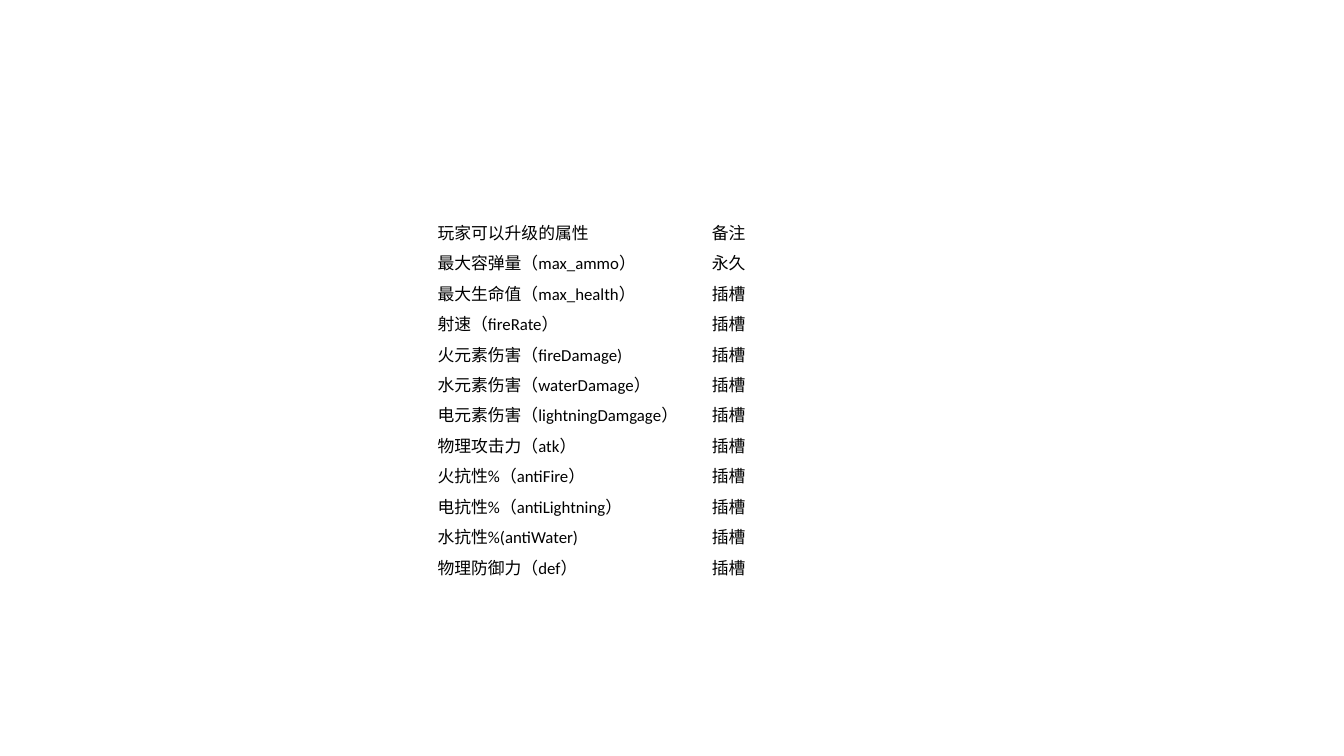
from pptx import Presentation
from pptx.dml.color import RGBColor
from pptx.enum import text
from pptx.util import Inches, Pt

COLORS = {"text": "000000"}
HEADER = ("玩家可以升级的属性", "备注")
PERMANENT, SLOT = "永久", "插槽"
ATTRIBUTES = [
    "最大容弹量（max_ammo）",
    "最大生命值（max_health）",
    "射速（fireRate）",
    "火元素伤害（fireDamage)",
    "水元素伤害（waterDamage）",
    "电元素伤害（lightningDamgage）",
    "物理攻击力（atk）",
    "火抗性%（antiFire）",
    "电抗性%（antiLightning）",
    "水抗性%(antiWater)",
    "物理防御力（def）",
]
# Only the first attribute is permanent; the others use a slot
rows = [HEADER] + [(name, SLOT if i else PERMANENT)
                   for i, name in enumerate(ATTRIBUTES)]

COL_WIDTHS = (2.72, 1.96)
ROW_HEIGHT, TALL_HEIGHT = 0.19, 0.26
TALL_ROWS = (2, 10)
heights = [TALL_HEIGHT if i in TALL_ROWS else ROW_HEIGHT
           for i in range(len(rows))]

# Slide
prs = Presentation()
prs.slide_width, prs.slide_height = Inches(13.33), Inches(7.5)
s = prs.slides.add_slide(prs.slide_layouts[6])

# Plain table without header or banding
table = s.shapes.add_table(
    len(rows), len(COL_WIDTHS), Inches(4.33), Inches(2.17),
    Inches(sum(COL_WIDTHS)), Inches(sum(heights))).table
table.first_row = table.horz_banding = False
for col, width in zip(table.columns, COL_WIDTHS):
    col.width = Inches(width)

# Cells
for row, height, values in zip(table.rows, heights, rows):
    row.height = Inches(height)
    for cell, value in zip(row.cells, values):
        cell.fill.background()
        cell.vertical_anchor = text.MSO_ANCHOR.MIDDLE
        cell.margin_left = cell.margin_top = cell.margin_right = Inches(0.01)
        cell.margin_bottom = Inches(0.05)
        r = cell.text_frame.paragraphs[0].add_run()
        r.text = value
        r.font.name, r.font.size = "Calibri", Pt(12)
        r.font.color.rgb = RGBColor.from_string(COLORS["text"])

prs.save("out.pptx")
